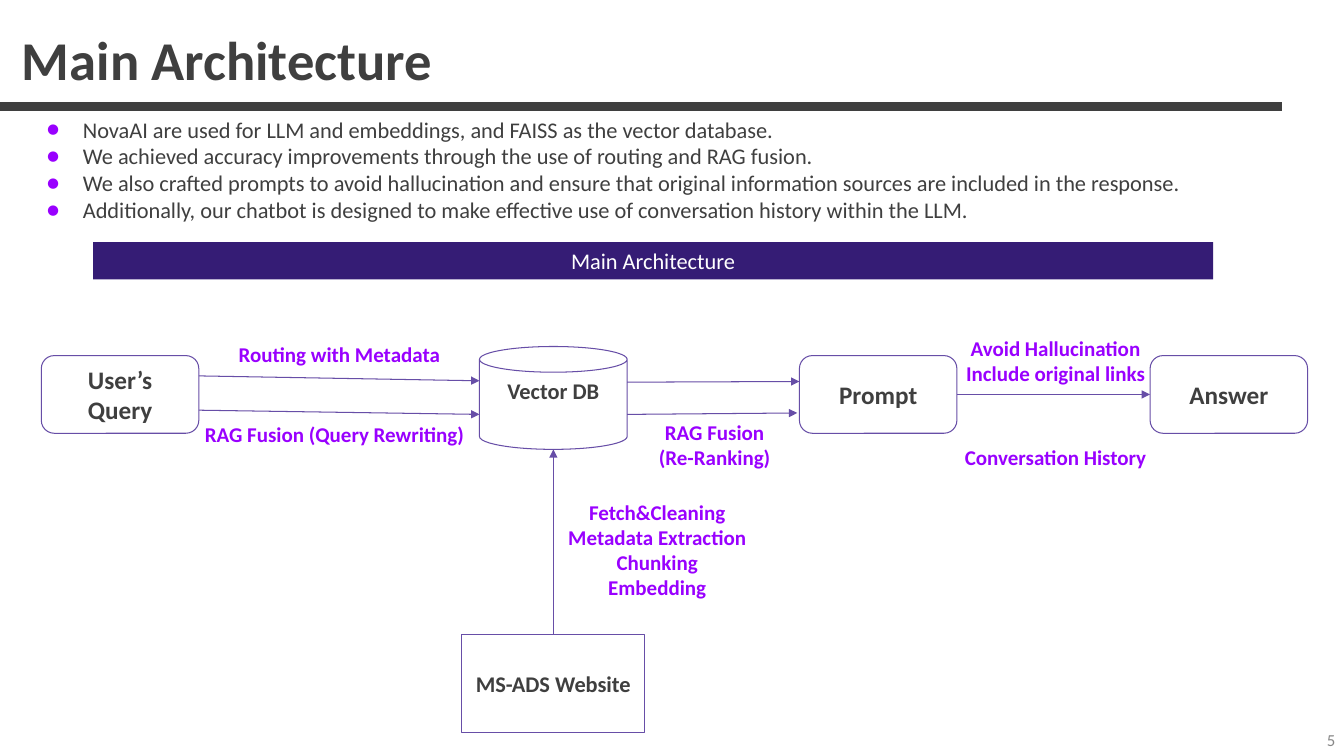
from lxml import etree
from pptx import Presentation
from pptx.dml.color import RGBColor
from pptx.enum.dml import MSO_THEME_COLOR
from pptx.enum.shapes import MSO_CONNECTOR, MSO_SHAPE
from pptx.enum.text import MSO_ANCHOR, MSO_AUTO_SIZE, PP_ALIGN
from pptx.oxml.ns import qn
from pptx.util import Pt

COLORS = {
    "ink": "3F3F3F", "accent": "9900FF", "outline": "674EA7",
    "band": "351C75", "white": "FFFFFF", "number": "888888",
}
BULLETS = [
    "NovaAI are used for LLM and embeddings, and FAISS as the vector database.",
    "We achieved accuracy improvements through the use of routing and RAG fusion.",
    "We also crafted prompts to avoid hallucination and ensure that original "
    "information sources are included in the response.",
    "Additionally, our chatbot is designed to make effective use of "
    "conversation history within the LLM.",
]


def color(name):
    return RGBColor.from_string(COLORS[name])


def place(shape, box):
    shape.left, shape.top, shape.width, shape.height = map(Pt, box)


def write(shape, lines, size, ink="ink", bold=False, align=PP_ALIGN.CENTER,
          anchor=MSO_ANCHOR.TOP, inset=3.6):
    """Fill the shape with one paragraph per line; inset is top and bottom."""
    frame = shape.text_frame
    frame.text = "\n".join(lines)
    frame.word_wrap = True
    frame.auto_size = MSO_AUTO_SIZE.NONE
    frame.vertical_anchor = anchor
    frame.margin_left = frame.margin_right = Pt(7.2)
    frame.margin_top = frame.margin_bottom = Pt(inset)
    for para in frame.paragraphs:
        para.alignment = align
        para.space_before = Pt(0)
        for span in para.runs:
            span.font.name = "Calibri"
            span.font.size = Pt(size)
            span.font.bold = bold
            span.font.color.rgb = color(ink)


def add_text(page, box, lines, size, **style):
    shape = page.shapes.add_textbox(*map(Pt, box))
    write(shape, lines, size, **style)
    return shape


def add_label(page, left, top, *lines):
    add_text(page, (left, top, 255, 29), lines, 15, ink="accent", bold=True, inset=7.2)


def add_node(page, kind, box, fill="white", outline="outline"):
    node = page.shapes.add_shape(kind, *map(Pt, box))
    node.shadow.inherit = False
    node.fill.solid()
    node.fill.fore_color.rgb = color(fill)
    if outline:
        node.line.color.rgb = color(outline)
        node.line.width = Pt(0.75)
    else:
        node.line.fill.background()
    return node


def add_line(page, start, end, ink="outline", width=0.75, arrow=True):
    line = page.shapes.add_connector(MSO_CONNECTOR.STRAIGHT, *map(Pt, start + end))
    line.line.color.rgb = color(ink)
    line.line.width = Pt(width)
    if arrow:
        etree.SubElement(line.line._get_or_add_ln(), qn("a:tailEnd"), type="triangle")
    etree.SubElement(line._element.spPr, qn("a:effectLst"))
    return line


def add_header(page, box):
    left, top, width, height = box
    title = page.shapes.title
    place(title, (left + 9, top, 658, height - 7))
    write(title, ["Main Architecture"], 39, bold=True,
          align=PP_ALIGN.LEFT, anchor=MSO_ANCHOR.BOTTOM)
    title.text_frame.paragraphs[0].line_spacing = 0.9
    rule = top + height
    add_line(page, (left, rule), (left + width, rule), "ink", 6.25, arrow=False)


def add_bullets(page, box):
    body = page.placeholders[1]
    place(body, box)
    write(body, BULLETS, 16, align=PP_ALIGN.JUSTIFY)
    for para in body.text_frame.paragraphs:
        props = para._p.get_or_add_pPr()
        props.set("marL", str(Pt(36)))
        props.set("indent", str(-Pt(26)))
        tint = etree.SubElement(props, qn("a:buClr"))
        etree.SubElement(tint, qn("a:srgbClr"), val=COLORS["accent"])
        etree.SubElement(props, qn("a:buFont"), typeface="Calibri")
        etree.SubElement(props, qn("a:buChar"), char="●")


def add_band(page, box):
    band = add_node(page, MSO_SHAPE.RECTANGLE, box, "band", None)
    write(band, ["Main Architecture"], 16, ink="white")


def add_flow(page, box):
    """Query, vector store, prompt and answer in a row, the website below."""
    left, top, width, height = box
    step_width, step_height = 112.5, 55.5
    store_left, store_top = left + 313, top - 6.5
    store_right, store_bottom = store_left + 105.5, store_top + 73.5
    middle = (store_left + store_right) / 2
    query_right = left + step_width
    prompt_left = left + 541.5

    steps = {}
    for name, step_left in (("User’s Query", left), ("Prompt", prompt_left),
                            ("Answer", left + width - step_width)):
        step = add_node(page, MSO_SHAPE.ROUNDED_RECTANGLE,
                        (step_left, top, step_width, step_height))
        write(step, [name], 18, bold=True, anchor=MSO_ANCHOR.MIDDLE)
        steps[name] = step

    add_node(page, MSO_SHAPE.CAN, (store_left, store_top, 105.5, 73.5))
    add_text(page, (middle - 65, top + 8, 130, 32), ["Vector DB"], 16,
             bold=True, inset=7.2)
    website_top = top + height - 70.5
    website = add_node(page, MSO_SHAPE.RECTANGLE,
                       (middle - 65.25, website_top, 130.5, 70.5))
    write(website, ["MS-ADS Website"], 16, bold=True,
          anchor=MSO_ANCHOR.MIDDLE, inset=7.2)

    for start, end in (
        ((query_right, top + 14.5), (store_left, top + 18)),
        ((query_right, top + 39), (store_left, top + 42)),
        ((store_right, top + 19), (prompt_left, top + 18.5)),
        ((store_right, top + 42), (prompt_left - 1.5, top + 41)),
    ):
        add_line(page, start, end)
    feed = add_line(page, (middle, website_top), (middle, store_bottom))
    feed.begin_connect(website, 0)
    reply = add_line(page, (0, 0), (1, 1))
    reply.begin_connect(steps["Prompt"], 3)
    reply.end_connect(steps["Answer"], 1)

    add_label(page, left + 85.5, top - 17, "Routing with Metadata")
    add_label(page, left + 82, top + 40, "RAG Fusion (Query Rewriting)")
    add_label(page, left + 353.5, top + 38.5, "RAG Fusion", "(Re-Ranking)")
    add_label(page, left + 312.5, top + 95.5, "Fetch&Cleaning",
              "Metadata Extraction", "Chunking", "Embedding")
    add_label(page, left + 597, top - 21.5, "Avoid Hallucination",
              "Include original links")
    add_label(page, left + 597, top + 56.5, "Conversation History")


def main():
    deck = Presentation()
    deck.slide_width, deck.slide_height = Pt(960), Pt(540)
    page = deck.slides.add_slide(deck.slide_layouts[1])
    page.background.fill.solid()
    page.background.fill.fore_color.theme_color = MSO_THEME_COLOR.BACKGROUND_1
    add_header(page, (-0.5, -4.5, 916.5, 80.75))
    add_bullets(page, (16, 79, 901, 85))
    add_band(page, (66.5, 173, 800, 26.5))
    add_flow(page, (29.5, 254, 904.5, 269.5))
    add_text(page, (745, 514, 216, 29), ["5"], 12, ink="number",
             align=PP_ALIGN.RIGHT, anchor=MSO_ANCHOR.MIDDLE)
    deck.save("out.pptx")


if __name__ == "__main__":
    main()
